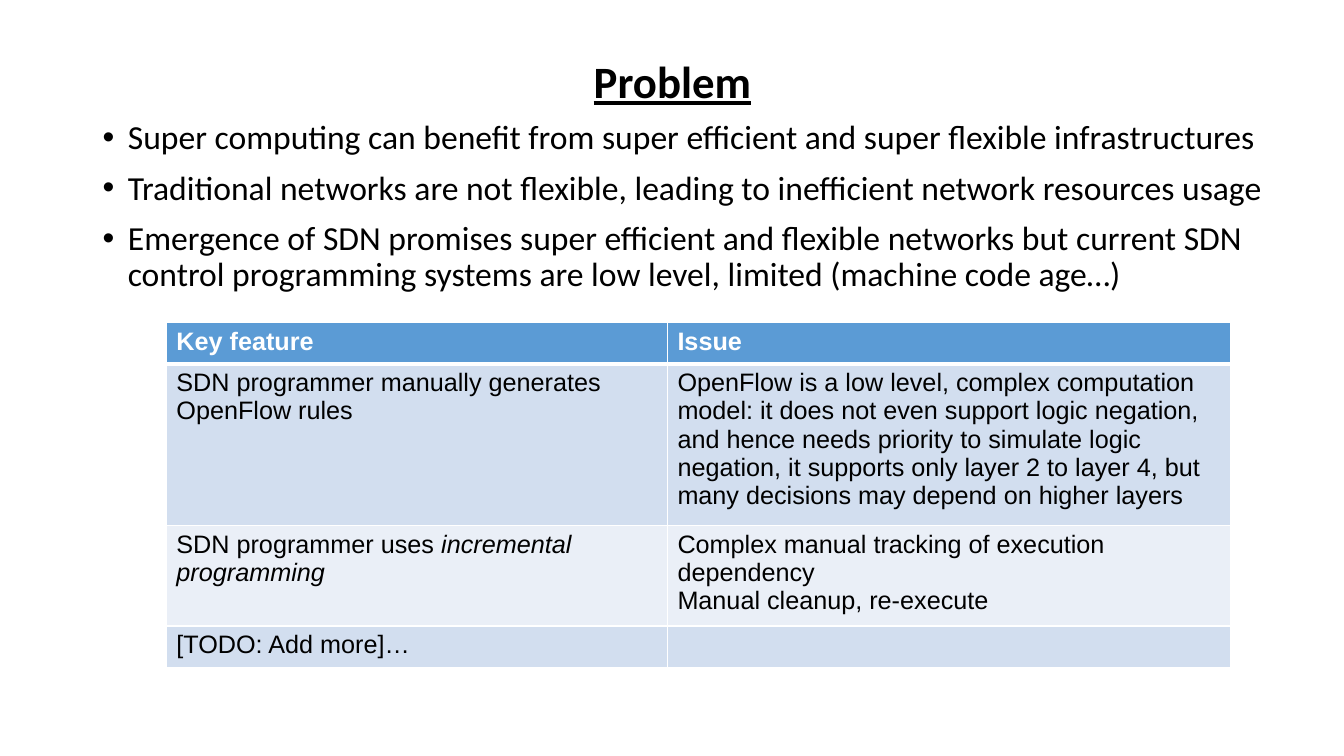
"""Build the Problem slide: title, three bullets and a table of SDN issues."""
from lxml import etree
from pptx import Presentation
from pptx.dml.color import RGBColor
from pptx.enum.text import MSO_ANCHOR, PP_ALIGN
from pptx.oxml.ns import qn
from pptx.util import Inches, Pt

CENTER = PP_ALIGN.CENTER
MIDDLE = MSO_ANCHOR.MIDDLE

THEME = {
    "heading_font": "Calibri", "table_font": "Arial",
    "title_size": 32, "bullet_size": 24, "table_size": 18,
    "text": "000000", "header_text": "FFFFFF", "border": "FFFFFF",
    "header_fill": "5B9BD5", "bands": ("D2DEEF", "EAEFF7"),
}

BULLETS = [
    "Super computing can benefit from super efficient and super flexible infrastructures",
    "Traditional networks are not flexible, leading to inefficient network resources usage",
    "Emergence of SDN promises super efficient and flexible networks but current SDN "
    "control programming systems are low level, limited (machine code age…)",
]

ITALIC_PHRASE = "incremental programming"
ROWS = [
    ("Key feature", "Issue"),
    ("SDN programmer manually generates OpenFlow rules",
     "OpenFlow is a low level, complex computation model: it does not even support "
     "logic negation, and hence needs priority to simulate logic negation, it supports "
     "only layer 2 to layer 4, but many decisions may depend on higher layers"),
    ("SDN programmer uses ",
     "Complex manual tracking of execution dependency\nManual cleanup, re-execute"),
    ("[TODO: Add more]…", ""),
]
COLUMN_WIDTHS = (4.97, 5.59)
ROW_HEIGHT = 0.41


def format_spans(para, font, size, color, bold=False):
    for span in para.runs:
        span.font.name = font
        span.font.size = Pt(size)
        span.font.bold = bold
        span.font.color.rgb = RGBColor.from_string(color)


def add_border(cell, side, width):
    line = etree.SubElement(cell._tc.get_or_add_tcPr(), qn(f"a:ln{side}"), w=str(Pt(width)))
    fill = etree.SubElement(line, qn("a:solidFill"))
    etree.SubElement(fill, qn("a:srgbClr"), val=THEME["border"])


deck = Presentation()
deck.slide_width = Inches(13.33)
deck.slide_height = Inches(7.5)
page = deck.slides.add_slide(deck.slide_layouts[6])

title_box = page.shapes.add_textbox(Inches(0.92), Inches(0.4), Inches(11.5), Inches(0.87))
title_frame = title_box.text_frame
title_frame.word_wrap = True
title_frame.vertical_anchor = MIDDLE
title_frame.text = "Problem"
title = title_frame.paragraphs[0]
title.alignment = CENTER
title.line_spacing = 0.9
format_spans(title, THEME["heading_font"], THEME["title_size"], THEME["text"], bold=True)
title.runs[0].font.underline = True

bullet_box = page.shapes.add_textbox(Inches(0.92), Inches(1.15), Inches(12.3), Inches(5.6))
bullet_frame = bullet_box.text_frame
bullet_frame.word_wrap = True
bullet_frame.text = "\n".join(BULLETS)
for para in bullet_frame.paragraphs:
    para.line_spacing = 0.9
    para.space_before = Pt(10)
    format_spans(para, THEME["heading_font"], THEME["bullet_size"], THEME["text"])
    properties = para._p.get_or_add_pPr()
    properties.set("marL", str(Inches(0.25)))
    properties.set("indent", str(Inches(-0.25)))
    etree.SubElement(properties, qn("a:buFont"), typeface="Arial")
    etree.SubElement(properties, qn("a:buChar"), char="•")

table = page.shapes.add_table(
    len(ROWS), len(COLUMN_WIDTHS), Inches(1.65), Inches(3.2),
    Inches(sum(COLUMN_WIDTHS)), Inches(ROW_HEIGHT * len(ROWS))).table
for column, width in zip(table.columns, COLUMN_WIDTHS):
    column.width = Inches(width)

for row_index, texts in enumerate(ROWS):
    table.rows[row_index].height = Inches(ROW_HEIGHT)
    is_header = row_index == 0
    fill_color = THEME["header_fill"] if is_header else THEME["bands"][(row_index - 1) % 2]
    text_color = THEME["header_text"] if is_header else THEME["text"]
    for column_index, text in enumerate(texts):
        cell = table.cell(row_index, column_index)
        cell.text_frame.text = text
        if text.endswith("uses "):
            phrase = cell.text_frame.paragraphs[0].add_run()
            phrase.text = ITALIC_PHRASE
            phrase.font.italic = True
        for para in cell.text_frame.paragraphs:
            format_spans(para, THEME["table_font"], THEME["table_size"], text_color, is_header)
        for side in "LRTB":
            thick = (is_header and side == "B") or (row_index == 1 and side == "T")
            add_border(cell, side, 3 if thick else 1)
        cell.fill.solid()
        cell.fill.fore_color.rgb = RGBColor.from_string(fill_color)

deck.save("out.pptx")
